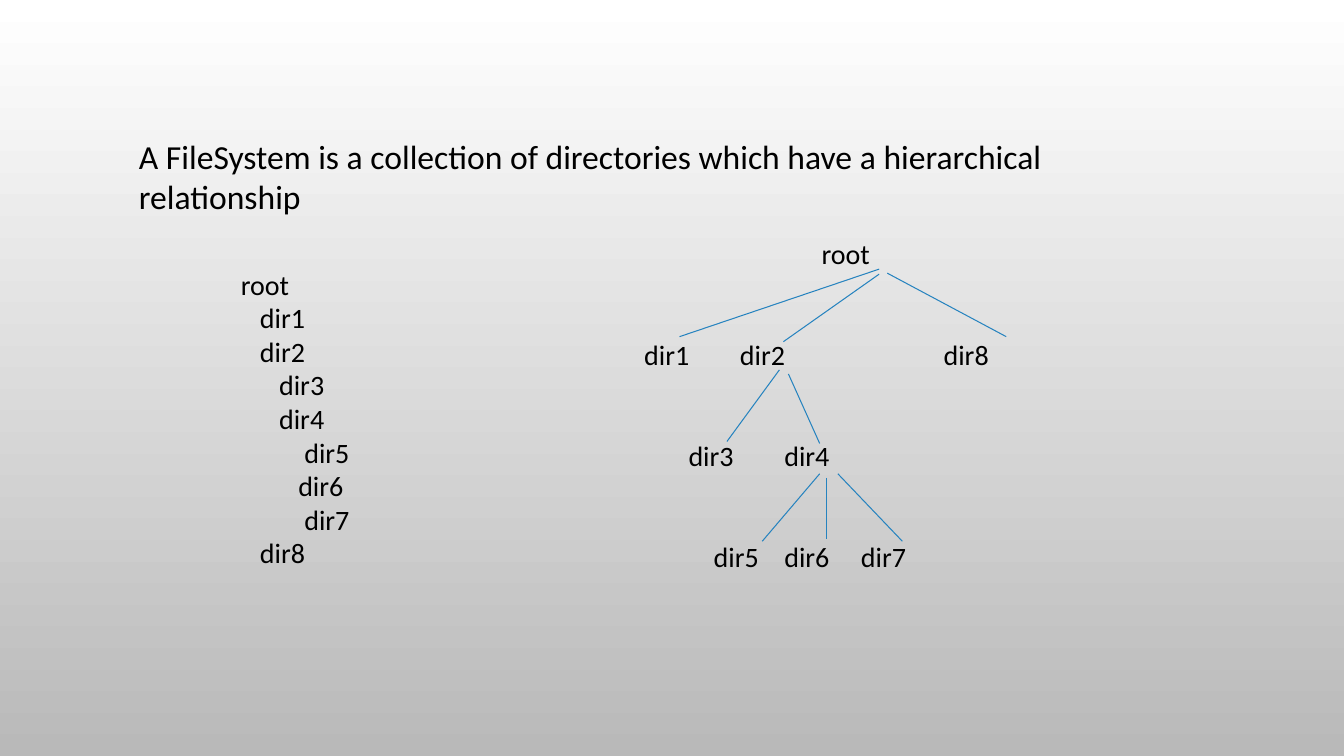
from dataclasses import dataclass

from lxml.etree import SubElement
from pptx import Presentation
from pptx.dml.color import RGBColor
from pptx.enum.shapes import MSO_CONNECTOR
from pptx.oxml.ns import qn
from pptx.util import Inches, Pt


@dataclass(frozen=True)
class Theme:
    font: str = "Calibri"
    ink: RGBColor = RGBColor(0, 0, 0)
    branch: RGBColor = RGBColor(0x26, 0x83, 0xBF)
    sky: RGBColor = RGBColor(0xFF, 0xFF, 0xFF)
    ground: RGBColor = RGBColor(0xB9, 0xB9, 0xB9)
    heading: int = 24
    body: int = 20
    level_gap: int = 48
    branch_width: float = 0.75


THEME = Theme()

HEADING = "A FileSystem is a collection of directories which have a hierarchical relationship"

LISTING = [
    ("root", 0), ("dir1", 0.19), ("dir2", 0.19), ("dir3", 0.38), ("dir4", 0.38),
    ("dir5", 0.63), ("dir6", 0.57), ("dir7", 0.63), ("dir8", 0.19),
]

TREE_LEVELS = [
    [("root", 1.76)],
    [("dir1", 0), ("dir2", 0.95), ("dir8", 2.97)],
    [("dir3", 0.44), ("dir4", 1.39)],
    [("dir5", 0.69), ("dir6", 1.39), ("dir7", 2.15)],
]

BRANCHES = [
    (8.72, 2.67, 6.74, 3.34),
    (8.72, 2.72, 7.77, 3.39),
    (8.8, 2.71, 9.98, 3.34),
    (7.73, 3.67, 7.21, 4.38),
    (7.82, 3.71, 8.13, 4.4),
    (8.13, 4.7, 7.56, 5.37),
    (8.2, 4.74, 8.2, 5.35),
    (8.31, 4.7, 8.95, 5.37),
]


def paint_background(page):
    fill = page.background.fill
    fill.gradient()
    fill.gradient_angle = 270
    for stop, color in zip(fill.gradient_stops, (THEME.sky, THEME.ground)):
        stop.color.rgb = color


def add_text(page, left, top, width, height, lines, size):
    box = page.shapes.add_textbox(Inches(left), Inches(top), Inches(width), Inches(height))
    frame = box.text_frame
    frame.word_wrap = True
    frame.text = "\n".join(lines)
    for para in frame.paragraphs:
        for span in para.runs:
            span.font.name = THEME.font
            span.font.size = Pt(size)
            span.font.color.rgb = THEME.ink
    return frame.paragraphs


def add_listing(page):
    names = [name for name, indent in LISTING]
    paras = add_text(page, 2.29, 2.6, 2.46, 3.1, names, THEME.body)
    for para, (name, indent) in zip(paras, LISTING):
        para._p.get_or_add_pPr().set("marL", str(Inches(indent)))


def add_tree(page):
    lines = [
        "".join(f"\t{name}" if offset else name for name, offset in level)
        for level in TREE_LEVELS
    ]
    paras = add_text(page, 6.29, 2.3, 4.28, 3.47, lines, THEME.body)
    for row, (para, level) in enumerate(zip(paras, TREE_LEVELS)):
        para.space_before = Pt(THEME.level_gap if row else 0)
        tabs = SubElement(para._p.get_or_add_pPr(), qn("a:tabLst"))
        for name, offset in level:
            if offset:
                SubElement(tabs, qn("a:tab"), pos=str(Inches(offset)), algn="l")


def add_branch(page, *ends):
    branch = page.shapes.add_connector(MSO_CONNECTOR.STRAIGHT, *map(Inches, ends))
    branch.line.color.rgb = THEME.branch
    branch.line.width = Pt(THEME.branch_width)
    SubElement(branch._element.spPr, qn("a:effectLst"))


def main():
    deck = Presentation()
    deck.slide_width, deck.slide_height = Inches(13.33), Inches(7.5)
    page = deck.slides.add_slide(deck.slide_layouts[6])
    paint_background(page)
    add_listing(page)
    add_tree(page)
    for ends in BRANCHES:
        add_branch(page, *ends)
    add_text(page, 1.28, 1.3, 10.76, 0.9, [HEADING], THEME.heading)
    deck.save("out.pptx")


if __name__ == "__main__":
    main()
